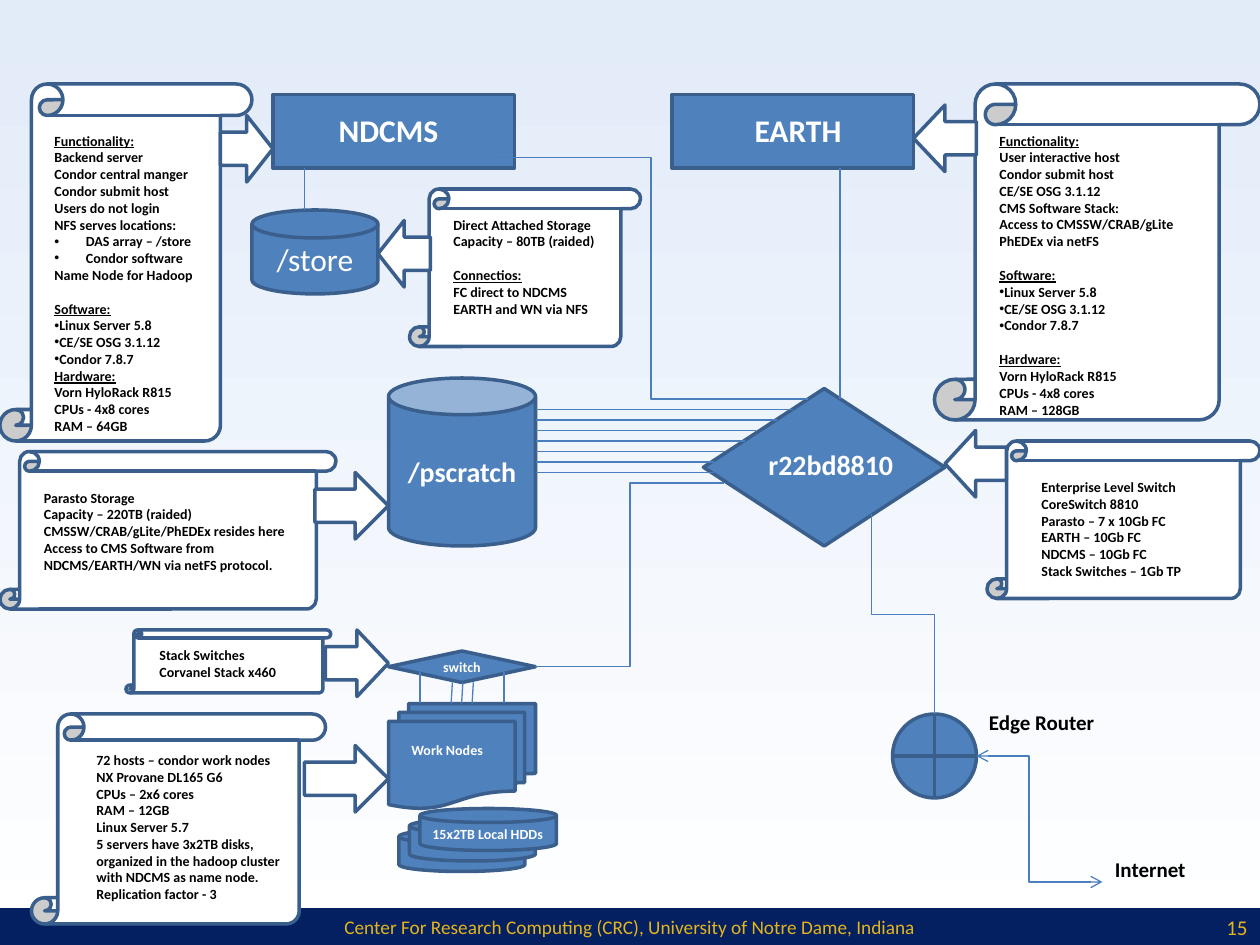
from dataclasses import dataclass
from typing import NamedTuple

from lxml.etree import SubElement
from pptx import Presentation
from pptx.dml.color import RGBColor
from pptx.enum.shapes import MSO_CONNECTOR, MSO_SHAPE
from pptx.enum.text import MSO_ANCHOR, PP_ALIGN
from pptx.oxml.ns import qn
from pptx.util import Pt

BLUE = RGBColor(0x4F, 0x81, 0xBD)
OUTLINE = RGBColor(0x3A, 0x5F, 0x8C)
WIRE = RGBColor(0x4B, 0x7E, 0xBC)
NAVY = RGBColor(0x04, 0x20, 0x61)
GOLD = RGBColor(0xE4, 0xB6, 0x1B)
PALE = RGBColor(0xE2, 0xEB, 0xF8)
WHITE = RGBColor(0xFF, 0xFF, 0xFF)
BLACK = RGBColor(0, 0, 0)


class Box(NamedTuple):
    left: float
    top: float
    width: float
    height: float


class Entry(NamedTuple):
    text: str
    heading: bool = False
    bullet: bool = False
    indent: float = 0
    gap_before: float = 0


@dataclass(frozen=True)
class Style:
    size: float = 8
    color: RGBColor = BLACK
    bold: bool = True
    align: PP_ALIGN = PP_ALIGN.LEFT
    anchor: MSO_ANCHOR = MSO_ANCHOR.TOP


@dataclass(frozen=True)
class Node:
    kind: MSO_SHAPE
    box: Box
    text: str = ""
    style: Style = Style()


@dataclass(frozen=True)
class Note:
    box: Box
    entries: list[Entry]
    style: Style = Style()


def lines(*texts: str) -> list[Entry]:
    return [Entry(text) for text in texts]


def bullets(*texts: str, indent: float = 0) -> list[Entry]:
    return [Entry(text, bullet=True, indent=indent) for text in texts]


def heading(text: str, gap_before: float = 0) -> list[Entry]:
    return [Entry(text, heading=True, gap_before=gap_before)]


def fill_text(shape, entries: list[Entry], style: Style) -> None:
    text_frame = shape.text_frame
    text_frame.word_wrap = True
    text_frame.vertical_anchor = style.anchor
    text_frame.text = "\n".join(entry.text for entry in entries)
    for paragraph, entry in zip(text_frame.paragraphs, entries):
        paragraph.alignment = style.align
        if entry.bullet:
            properties = paragraph._p.get_or_add_pPr()
            properties.set("marL", str(Pt(entry.indent)))
            properties.set("indent", str(-Pt(entry.indent)))
            SubElement(properties, qn("a:buFont")).set("typeface", "Arial")
            SubElement(properties, qn("a:buChar")).set("char", "•")
        if entry.gap_before:
            paragraph.space_before = Pt(entry.gap_before)
        for run in paragraph.runs:
            run.font.name = "Calibri"
            run.font.size = Pt(style.size)
            run.font.bold = style.bold
            run.font.underline = entry.heading
            run.font.color.rgb = style.color


def draw_node(slide, node: Node, fill: RGBColor, outline: RGBColor | None = OUTLINE) -> None:
    shape = slide.shapes.add_shape(node.kind, *map(Pt, node.box))
    shape.shadow.inherit = False
    shape.fill.solid()
    shape.fill.fore_color.rgb = fill
    if outline is None:
        shape.line.fill.background()
    else:
        shape.line.color.rgb = outline
        shape.line.width = Pt(2)
    if node.text:
        fill_text(shape, lines(node.text), node.style)


def draw_note(slide, note: Note) -> None:
    fill_text(slide.shapes.add_textbox(*map(Pt, note.box)), note.entries, note.style)


def draw_wire(slide, start: tuple, end: tuple, kind: MSO_CONNECTOR = MSO_CONNECTOR.STRAIGHT):
    connector = slide.shapes.add_connector(kind, *map(Pt, start + end))
    connector.line.color.rgb = WIRE
    connector.line.width = Pt(0.75)
    SubElement(connector._element.spPr, qn("a:effectLst"))
    return connector


def draw_wires(slide) -> None:
    for index, end in enumerate((453, 444, 432, 426, 414, 408, 408)):
        level = 234 + 6 * index
        draw_wire(slide, (306, level), (end, level))
    for left in (240, 288):
        draw_wire(slide, (left, 384), (left, 402))
    for left in (258.5, 264.5, 270.5):
        draw_wire(slide, (left, 390), (left - 0.7, 402))
    draw_wire(slide, (174, 96), (174, 120))
    draw_wire(slide, (480, 96), (480, 228))
    draw_wire(slide, (282, 90), (462, 228), MSO_CONNECTOR.ELBOW)
    draw_wire(slide, (306, 381), (414, 276), MSO_CONNECTOR.ELBOW)

    router_link = draw_wire(slide, (459, 333), (573, 369), MSO_CONNECTOR.ELBOW)
    transform = router_link._element.spPr.find(qn("a:xfrm"))
    transform.set("rot", str(270 * 60000))
    transform.set("flipH", "1")

    internet_link = draw_wire(slide, (558, 432), (630, 504), MSO_CONNECTOR.ELBOW)
    properties = internet_link._element.spPr
    guide = SubElement(properties.find(qn("a:prstGeom")).find(qn("a:avLst")), qn("a:gd"))
    guide.set("name", "adj1")
    guide.set("fmla", "val 41700")
    for end in ("a:headEnd", "a:tailEnd"):
        SubElement(properties.find(qn("a:ln")), qn(end)).set("type", "arrow")


CENTER, MIDDLE = PP_ALIGN.CENTER, MSO_ANCHOR.MIDDLE
HOST = Style(18, WHITE, align=CENTER)
SMALL_WHITE = Style(8, WHITE)
OUTSIDE = Style(12)

SCROLLS = [Box(0, 48, 144, 204), Box(0, 258, 192, 90), Box(564, 252, 156, 90),
           Box(234, 108, 132, 90), Box(534, 48, 186, 192), Box(72, 360, 117, 36),
           Box(18, 408, 168, 120)]
RIGHT_ARROWS = [Box(126, 66, 30, 38), Box(180, 270, 42, 38),
                Box(186, 360, 36, 38), Box(174, 426, 48, 38)]
LEFT_ARROWS = [Box(522, 60, 36, 38), Box(540, 246, 35, 38), Box(216, 126, 30, 38)]
DISK = MSO_SHAPE.FLOWCHART_MAGNETIC_DISK
NODES = [
    Node(MSO_SHAPE.RECTANGLE, Box(156, 54, 138, 42)),
    Node(MSO_SHAPE.RECTANGLE, Box(384, 54, 138, 42)),
    Node(MSO_SHAPE.CAN, Box(222, 216, 84, 96), "/pscratch",
         Style(16, WHITE, align=CENTER, anchor=MIDDLE)),
    Node(MSO_SHAPE.DIAMOND, Box(402, 222, 138, 90)),
    Node(DISK, Box(144, 120, 72, 48), "/store", Style(18, WHITE, False, CENTER, MIDDLE)),
    Node(MSO_SHAPE.FLOWCHART_MULTIDOCUMENT, Box(222, 402, 84, 60)),
    Node(MSO_SHAPE.FLOWCHART_DECISION, Box(222, 372, 84, 18), "switch",
         Style(8, WHITE, align=CENTER, anchor=MIDDLE)),
    Node(DISK, Box(228, 474, 72, 24)),
    Node(DISK, Box(234, 468, 72, 24)),
    Node(DISK, Box(240, 462, 78, 24)),
    Node(MSO_SHAPE.FLOWCHART_OR, Box(510, 408, 48, 48)),
]
GAP = 9.75
SOFTWARE = bullets("Linux Server 5.8", "CE/SE OSG 3.1.12", "Condor 7.8.7")
HARDWARE = lines("Vorn HyloRack R815", "CPUs - 4x8 cores")
NOTES = [
    Note(Box(186, 60, 72, 29), lines("NDCMS"), HOST),
    Note(Box(420, 60, 72, 29), lines("EARTH"), HOST),
    Note(Box(24, 72, 96, 181),
         heading("Functionality:")
         + lines("Backend server", "Condor central manger", "Condor submit host",
                 "Users do not login", "NFS serves locations:")
         + bullets("DAS array – /store", "Condor software", indent=18)
         + lines("Name Node for Hadoop")
         + heading("Software:", GAP) + SOFTWARE
         + heading("Hardware:") + HARDWARE + lines("RAM – 64GB")),
    Note(Box(564, 72, 132, 211),
         heading("Functionality:")
         + lines("User interactive host", "Condor submit host", "CE/SE OSG 3.1.12",
                 "CMS Software Stack:", "Access to CMSSW/CRAB/gLite", "PhEDEx via netFS")
         + heading("Software:", GAP) + SOFTWARE
         + heading("Hardware:", GAP) + HARDWARE + lines("RAM – 128GB")),
    Note(Box(252, 120, 96, 66),
         lines("Direct Attached Storage", "Capacity – 80TB (raided)")
         + heading("Connectios:", GAP)
         + lines("FC direct to NDCMS", "EARTH and WN via NFS")),
    Note(Box(588, 270, 120, 66),
         lines("Enterprise Level Switch", "CoreSwitch 8810", "Parasto – 7 x 10Gb FC",
               "EARTH – 10Gb FC", "NDCMS – 10Gb FC", "Stack Switches – 1Gb TP")),
    Note(Box(18, 276, 156, 55),
         lines("Parasto Storage", "Capacity – 220TB (raided)",
               "CMSSW/CRAB/gLite/PhEDEx resides here",
               "Access to CMS Software from NDCMS/EARTH/WN via netFS protocol.")),
    Note(Box(84, 366, 90, 27), lines("Stack Switches Corvanel Stack x460")),
    Note(Box(48, 426, 120, 94),
         lines("72 hosts – condor work nodes", "NX Provane DL165 G6", "CPUs – 2x6 cores",
               "RAM – 12GB", "Linux Server 5.7",
               "5 servers have 3x2TB disks, organized in the hadoop cluster "
               "with NDCMS as name node.", "Replication factor - 3")),
    Note(Box(432, 252, 90, 27), lines("r22bd8810"), Style(16, WHITE)),
    Note(Box(228, 420, 66, 17), lines("Work Nodes"), SMALL_WHITE),
    Note(Box(240, 468, 78, 17), lines("15x2TB Local HDDs"), SMALL_WHITE),
    Note(Box(630, 486, 84, 22), lines("Internet"), OUTSIDE),
    Note(Box(558, 402, 120, 22), lines("Edge Router"), OUTSIDE),
    Note(Box(598, 519, 122, 21), lines("15"),
         Style(12, GOLD, False, PP_ALIGN.RIGHT, MIDDLE)),
]
FOOTER = Node(MSO_SHAPE.RECTANGLE, Box(0, 519, 720, 21),
              "Center For Research Computing (CRC), University of Notre Dame, Indiana",
              Style(11, GOLD, False, CENTER, MIDDLE))


def main() -> None:
    presentation = Presentation()
    presentation.slide_width, presentation.slide_height = Pt(720), Pt(540)
    slide = presentation.slides.add_slide(presentation.slide_layouts[6])
    background = slide.background.fill
    background.gradient()
    background.gradient_angle = 90
    for stop, color in zip(background.gradient_stops, (WHITE, PALE)):
        stop.color.rgb = color

    draw_node(slide, FOOTER, NAVY, None)
    for kind, boxes in ((MSO_SHAPE.VERTICAL_SCROLL, SCROLLS),
                        (MSO_SHAPE.RIGHT_ARROW, RIGHT_ARROWS),
                        (MSO_SHAPE.LEFT_ARROW, LEFT_ARROWS)):
        for box in boxes:
            draw_node(slide, Node(kind, box), WHITE)
    for node in NODES:
        draw_node(slide, node, BLUE)
    draw_wires(slide)
    for note in NOTES:
        draw_note(slide, note)
    presentation.save("out.pptx")


if __name__ == "__main__":
    main()
